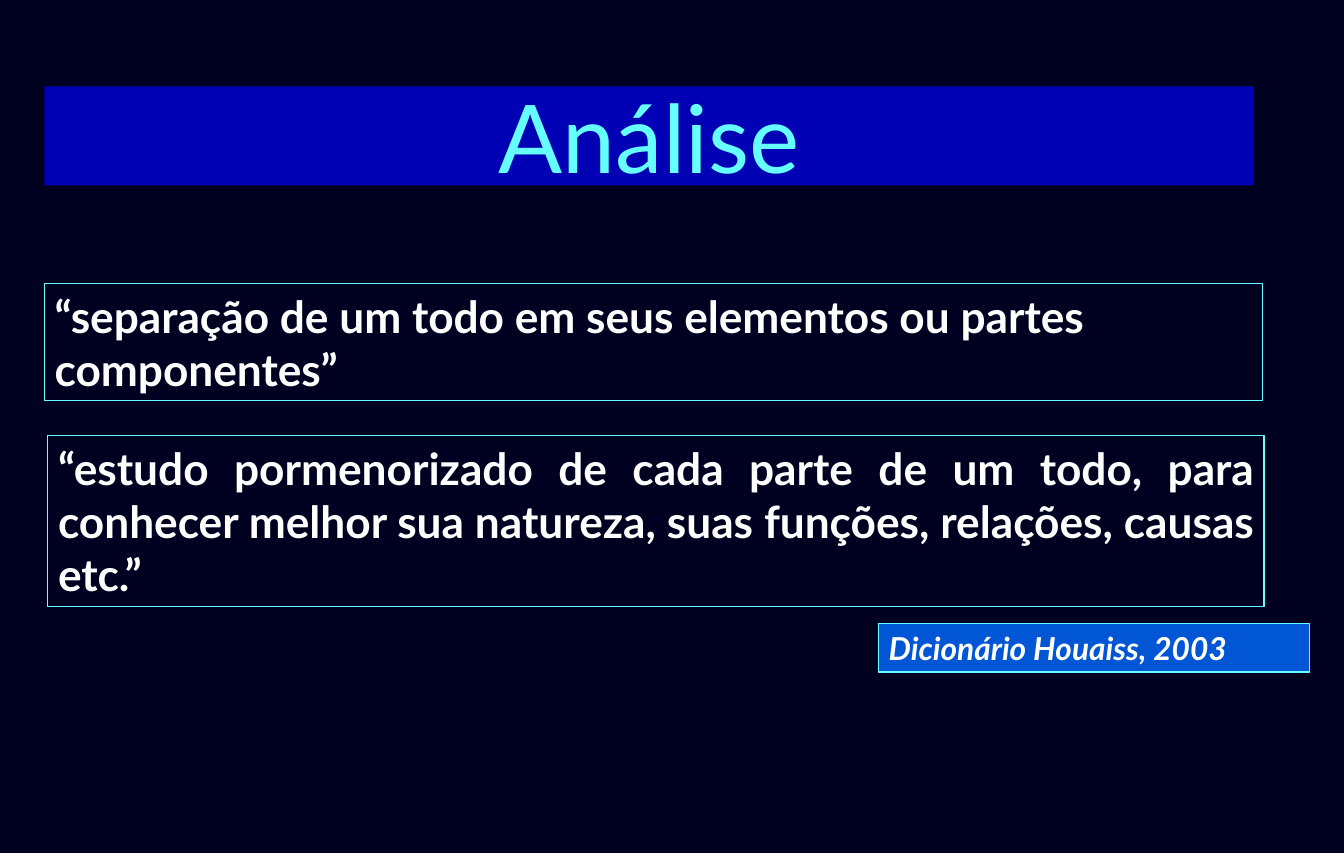
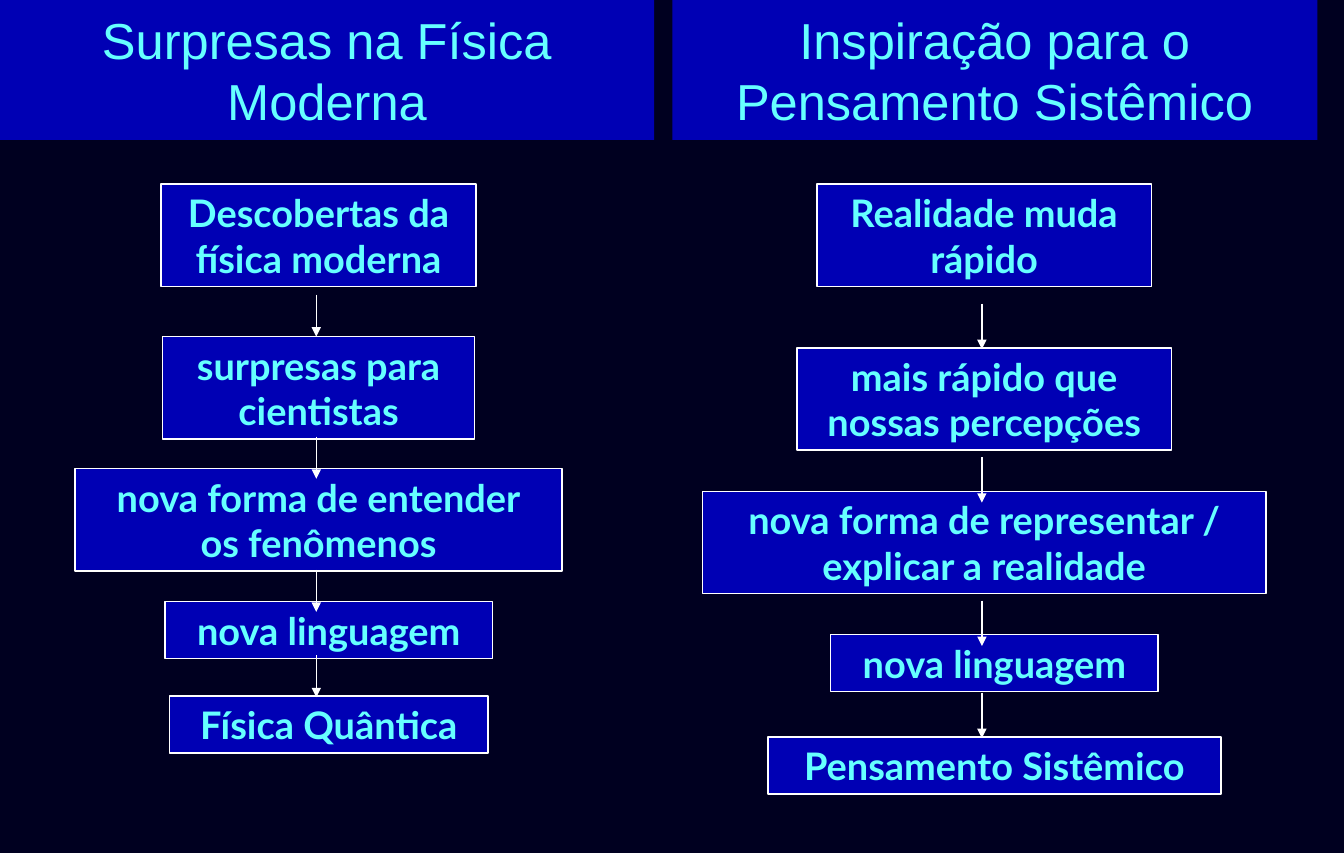
from lxml import etree
from pptx import Presentation
from pptx.dml.color import RGBColor
from pptx.enum.shapes import MSO_CONNECTOR, MSO_SHAPE
from pptx.enum.text import MSO_ANCHOR, MSO_AUTO_SIZE, PP_ALIGN
from pptx.oxml.ns import qn
from pptx.util import Inches, Pt

RECTANGLE = MSO_SHAPE.RECTANGLE
STRAIGHT = MSO_CONNECTOR.STRAIGHT
TOP, MIDDLE = MSO_ANCHOR.TOP, MSO_ANCHOR.MIDDLE
LEFT, CENTER, JUSTIFY = PP_ALIGN.LEFT, PP_ALIGN.CENTER, PP_ALIGN.JUSTIFY
FIXED_SIZE = MSO_AUTO_SIZE.NONE
TITLE_ONLY = 5

COLORS = {
    "background": "000020",
    "band": "0000B4",
    "source": "0056D4",
    "accent": "66FFFF",
    "light": "FFFFFF",
}
BODY_FONT, HEADING_FONT = "Lato", "Arial"

# Flow columns: box rows are (top, width, lines), arrows start at arrow_tops
FLOWS = [
    {
        "center": 2.8,
        "boxes": [
            (1.62, 2.77, ["Descobertas da", "física moderna"]),
            (2.96, 2.74, ["surpresas para", "cientistas"]),
            (4.12, 4.28, ["nova forma de entender", "os fenômenos"]),
            (5.29, 2.88, ["nova linguagem"]),
            (6.12, 2.8, ["Física Quântica"]),
        ],
        "arrow_tops": [2.59, 3.84, 5.01, 5.76],
        "arrow_length": 0.37,
    },
    {
        "center": 8.65,
        "boxes": [
            (1.62, 2.94, ["Realidade muda", "rápido"]),
            (3.06, 3.29, ["mais rápido que", "nossas percepções"]),
            (4.32, 4.95, ["nova forma de representar /", "explicar a realidade"]),
            (5.58, 2.88, ["nova linguagem"]),
            (6.48, 3.98, ["Pensamento Sistêmico"]),
        ],
        "arrow_tops": [2.67, 4.02, 5.28, 6.09],
        "arrow_length": 0.4,
    },
]


def rgb(name):
    return RGBColor.from_string(COLORS[name])


def paint(shape, fill=None, line=None, line_width=1.0):
    if fill:
        shape.fill.solid()
        shape.fill.fore_color.rgb = rgb(fill)
    else:
        shape.fill.background()
    if line:
        shape.line.color.rgb = rgb(line)
        shape.line.width = Pt(line_width)
    else:
        shape.line.fill.background()


def write(shape, lines, size, color, font=BODY_FONT, align=CENTER, anchor=TOP,
          bold=False, italic=False, wrap=True, inset=0.1):
    frame = shape.text_frame
    frame.auto_size = FIXED_SIZE
    frame.word_wrap = wrap
    frame.vertical_anchor = anchor
    frame.margin_left = frame.margin_right = Inches(inset)
    frame.margin_top = frame.margin_bottom = Inches(0.05)
    for index, line in enumerate(lines):
        paragraph = frame.add_paragraph() if index else frame.paragraphs[0]
        paragraph.alignment = align
        run = paragraph.add_run()
        run.text = line
        run.font.name = font
        run.font.size = Pt(size)
        run.font.bold = bold
        run.font.italic = italic
        run.font.color.rgb = rgb(color)


def add_box(shapes, left, top, width, height):
    box = shapes.add_shape(RECTANGLE, Inches(left), Inches(top),
                           Inches(width), Inches(height))
    box.shadow.inherit = False
    return box


def format_band(shape, text, size, font):
    paint(shape, fill="band")
    write(shape, [text], size, "accent", font=font, anchor=MIDDLE)


def add_titled_slide(presentation, title, left, top, width, height, size, font):
    slide = presentation.slides.add_slide(presentation.slide_layouts[TITLE_ONLY])
    shape = slide.shapes.title
    shape.left, shape.top = Inches(left), Inches(top)
    shape.width, shape.height = Inches(width), Inches(height)
    format_band(shape, title, size, font)
    return slide


def add_quote(slide, text, left, top, width, height, size=28, fill=None, **style):
    box = add_box(slide.shapes, left, top, width, height)
    paint(box, fill=fill, line="accent", line_width=0.75)
    write(box, [text], size, "light", bold=True, inset=0.09, **style)


def add_arrow(shapes, x, top, length):
    arrow = shapes.add_connector(STRAIGHT, Inches(x), Inches(top),
                                 Inches(x), Inches(top + length))
    arrow.line.color.rgb = rgb("light")
    arrow.line.width = Pt(1)
    properties = arrow.element.spPr
    etree.SubElement(properties.find(qn("a:ln")), qn("a:tailEnd"), type="triangle")
    etree.SubElement(properties, qn("a:effectLst"))


def add_flow(slide, flow):
    shapes = slide.shapes.add_group_shape().shapes
    for top, width, lines in flow["boxes"]:
        # Single-line boxes sit slightly right of the column centre
        single = len(lines) == 1
        center = flow["center"] + (0.09 if single else 0)
        box = add_box(shapes, center - width / 2, top, width, 0.5 if single else 0.9)
        paint(box, fill="band", line="light")
        write(box, lines, 24, "accent", bold=True, wrap=False)
    for top in flow["arrow_tops"]:
        add_arrow(shapes, flow["center"] - 0.02, top, flow["arrow_length"])


def build_analysis(presentation):
    slide = add_titled_slide(presentation, "Análise", 0.39, 0.76, 10.63, 0.87,
                             60, BODY_FONT)
    add_quote(slide, "“separação de um todo em seus elementos ou partes componentes”",
              0.39, 2.49, 10.71, 1.03, align=LEFT)
    add_quote(slide, "“estudo pormenorizado de cada parte de um todo, para conhecer "
              "melhor sua natureza, suas funções, relações, causas etc.”",
              0.42, 3.83, 10.69, 1.5, align=JUSTIFY)
    add_quote(slide, "Dicionário Houaiss, 2003", 7.72, 5.48, 3.79, 0.43,
              size=20, fill="source", align=LEFT, italic=True)


def build_comparison(presentation):
    slide = add_titled_slide(presentation, "Surpresas na Física Moderna",
                             0, 0, 5.75, 1.23, 32, HEADING_FONT)
    for flow in FLOWS:
        add_flow(slide, flow)
    band = add_box(slide.shapes, 5.91, 0, 5.67, 1.23)
    format_band(band, "Inspiração para o Pensamento Sistêmico", 32, HEADING_FONT)


def main():
    presentation = Presentation()
    # Width is 11 13/16 inches
    presentation.slide_width = Inches(189 / 16)
    presentation.slide_height = Inches(7.5)

    # Shared background
    background = presentation.slide_master.background.fill
    background.solid()
    background.fore_color.rgb = rgb("background")

    build_analysis(presentation)
    build_comparison(presentation)
    presentation.save("out.pptx")


if __name__ == "__main__":
    main()
